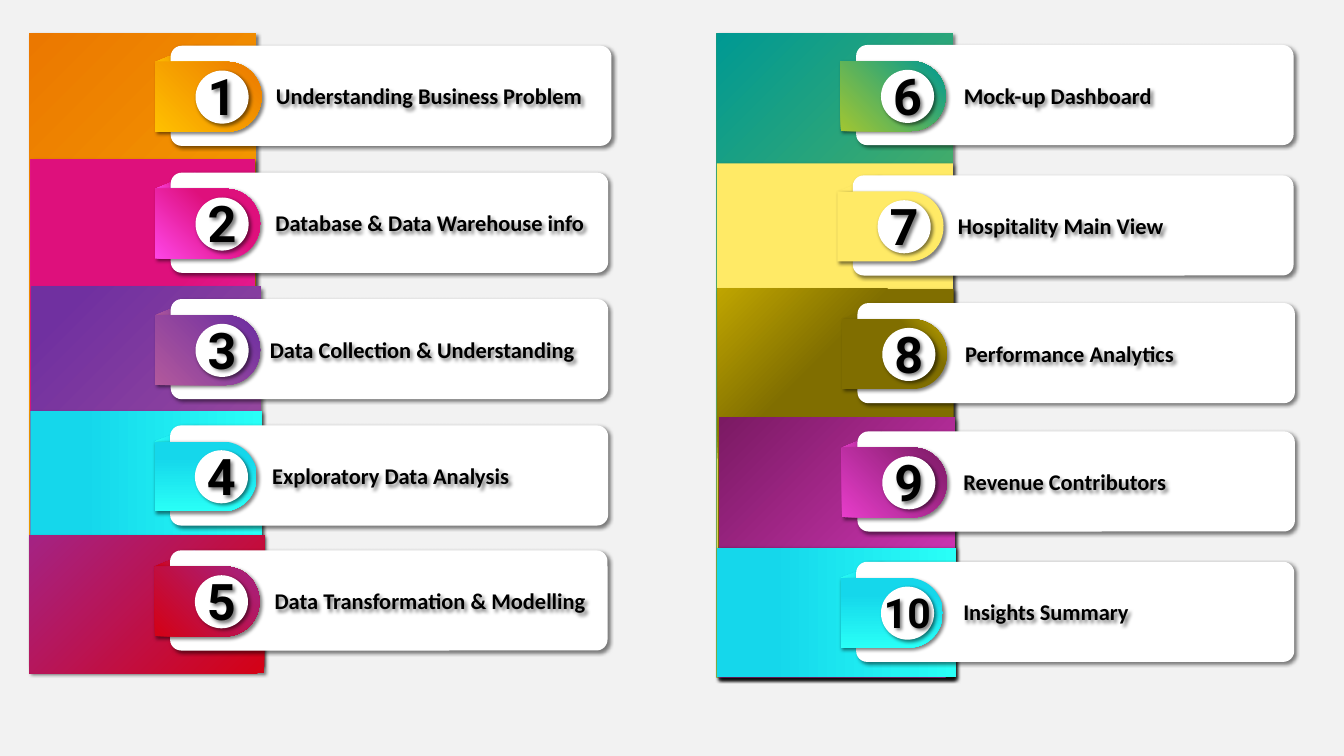
import pptx
import pptx.dml.color
import pptx.enum.shapes
import pptx.enum.text
import pptx.oxml
import pptx.oxml.ns
import pptx.util

Pt = pptx.util.Pt
SHAPE = pptx.enum.shapes.MSO_SHAPE

THEME = {
    "background": "F2F2F2", "card": "FFFFFF", "text": "000000",
    "number_font": "Roboto", "label_font": "Calibri",
    "label_size": 24, "number_size": 54, "wide_number_size": 44,
}

# Fills: colour stops (position in percent, colour) and clockwise angle
CYAN = ([(23, "15D7EB"), (100, "29FFF7")], 0)
YELLOW = ([(0, "FFEA66")], 0)


def diagonal(start, start_colour, end, end_colour):
    return [(start, start_colour), (end, end_colour)], 225


# Steps: label, fill, band (left, top, width, bottom), card (left, top, width),
# tab length, label centre
STEPS = [
    ("Understanding Business Problem", diagonal(0, "FFC000", 100, "EB7800"),
     (31.2, 36, 242.6, 712.8), (182.9, 49, 472.3), 113.8, 459.7),
    ("Database & Data Warehouse info", diagonal(0, "FE46E8", 63, "DE107C"),
     (33.1, 170.6, 239.8, 712.8), (182.9, 185, 468.7), 112.3, 460.4),
    ("Data Collection & Understanding", diagonal(0, "B2599C", 92, "7030A0"),
     (33.8, 307.4, 245.5, 713.5), (182.9, 320.4, 468.7), 112.3, 452.2),
    ("Exploratory Data Analysis", CYAN,
     (32.6, 440.6, 247.7, 712.8), (182.2, 455.8, 469.4), 109.4, 418.6),
    ("Data Transformation & Modelling", diagonal(0, "D40115", 100, "A42384"),
     (31.2, 573.8, 252, 721.4), (182.2, 589.7, 468.7), 112.3, 460.8),
    ("Mock-up Dashboard", diagonal(0, "A1C632", 100, "009993"),
     (768.2, 36, 252.7, 725.8), (917.3, 48.2, 468.7), 112.3, 1133.3),
    ("Hospitality Main View", YELLOW,
     (768.2, 175, 252.7, 725.8), (913.7, 187.9, 472.3), 113.8, 1136.5),
    ("Performance Analytics", diagonal(72, "806E00", 100, "BFA500"),
     (769, 309.6, 252.7, 725.8), (918.7, 324.7, 468.7), 112.3, 1145.9),
    ("Revenue Contributors", diagonal(0, "E73DCB", 100, "7B1A63"),
     (770.4, 447.8, 252.7, 725.8), (918.7, 462.2, 468.7), 112.3, 1140.8),
    ("Insights Summary", CYAN,
     (768.2, 586.8, 255.6, 725.8), (917.3, 601.9, 469.4), 109.4, 1120.7),
]
STEPS_WITHOUT_FOLD = {6}

# Sizes shared by every step
CARD_HEIGHT = 107.3
FOLD_WIDTH, FOLD_HEIGHT, FOLD_OVERHANG = 43.2, 17.3, 16.6
TAB_HEIGHT = 74.9
CIRCLE_SIZE, CIRCLE_INSET = 56.9, 26.6
TEXT_HEIGHT, LABEL_WIDTH = 77.8, 360
NUMBER_RISE = 1.5


def rgb(value):
    return pptx.dml.color.RGBColor.from_string(value)


def add_shadow(shape):
    shape.shadow.inherit = False
    effects = shape._element.spPr.find(pptx.oxml.ns.qn("a:effectLst"))
    effects.append(pptx.oxml.parse_xml(
        f'<a:outerShdw {pptx.oxml.ns.nsdecls("a")} blurRad="{Pt(4)}" dist="{Pt(3)}" '
        'dir="2700000" algn="tl" rotWithShape="0"><a:srgbClr val="000000">'
        '<a:alpha val="50000"/></a:srgbClr></a:outerShdw>'))


def apply_fill(shape, fill):
    stops, angle = fill
    if len(stops) == 1:
        shape.fill.solid()
        shape.fill.fore_color.rgb = rgb(stops[0][1])
        return
    shape.fill.gradient()
    shape.fill.gradient_angle = (360 - angle) % 360
    for stop, (position, colour) in zip(shape.fill.gradient_stops, stops):
        stop.position = position / 100
        stop.color.rgb = rgb(colour)


def add_part(group, kind, box, fill, adjustments=()):
    shape = group.shapes.add_shape(kind, *map(Pt, box))
    for index, value in enumerate(adjustments):
        shape.adjustments[index] = value
    apply_fill(shape, fill)
    shape.line.fill.background()
    add_shadow(shape)
    return shape


def add_text(group, box, text, font, size):
    shape = group.shapes.add_textbox(*map(Pt, box))
    add_shadow(shape)
    frame = shape.text_frame
    frame.word_wrap = False
    frame.vertical_anchor = pptx.enum.text.MSO_ANCHOR.MIDDLE
    frame.margin_left = frame.margin_right = Pt(10.8)
    frame.margin_top = frame.margin_bottom = Pt(5.8)
    paragraph = frame.paragraphs[0]
    paragraph.alignment = pptx.enum.text.PP_ALIGN.CENTER
    run = paragraph.add_run()
    run.text = text
    run.font.name = font
    run.font.size = Pt(size)
    run.font.bold = True
    run.font.color.rgb = rgb(THEME["text"])


def add_step(slide, number, label, fill, band, card, tab_length, label_centre):
    group = slide.shapes.add_group_shape()
    white = ([(0, THEME["card"])], 0)
    left, top, width = card
    fold_left = left - FOLD_OVERHANG

    # Coloured band, running down behind the later steps
    band_left, band_top, band_width, band_bottom = band
    add_part(group, SHAPE.RECTANGLE,
             (band_left, band_top, band_width, band_bottom - band_top), fill)

    # Folded corner and white card
    if number not in STEPS_WITHOUT_FOLD:
        fold = add_part(group, SHAPE.RIGHT_TRIANGLE,
                        (fold_left, top, FOLD_WIDTH, FOLD_HEIGHT), fill)
        fold._element.spPr.xfrm.set("flipH", "1")
    add_part(group, SHAPE.ROUNDED_RECTANGLE, (left, top, width, CARD_HEIGHT), white, [0.11])

    # Tab, turned a quarter about its centre
    turn = (tab_length - TAB_HEIGHT) / 2
    tab = add_part(group, SHAPE.ROUND_2_SAME_RECTANGLE,
                   (fold_left + turn, top + FOLD_HEIGHT - turn, TAB_HEIGHT, tab_length),
                   fill, [0.49, 0])
    tab.rotation = 90

    # Number in its circle
    circle_left, circle_top = left + CIRCLE_INSET, top + CIRCLE_INSET
    add_part(group, SHAPE.OVAL, (circle_left, circle_top, CIRCLE_SIZE, CIRCLE_SIZE), white)
    margin = (TEXT_HEIGHT - CIRCLE_SIZE) / 2
    size = THEME["number_size"] if number < 10 else THEME["wide_number_size"]
    add_text(group, (circle_left - margin, circle_top - margin - NUMBER_RISE,
                     TEXT_HEIGHT, TEXT_HEIGHT), str(number), THEME["number_font"], size)

    # Label, level with the middle of the card
    add_text(group, (label_centre - LABEL_WIDTH / 2, top + (CARD_HEIGHT - TEXT_HEIGHT) / 2,
                     LABEL_WIDTH, TEXT_HEIGHT),
             label, THEME["label_font"], THEME["label_size"])


def main():
    presentation = pptx.Presentation()
    presentation.slide_width, presentation.slide_height = Pt(1440), Pt(810)
    slide = presentation.slides.add_slide(presentation.slide_layouts[6])
    slide.background.fill.solid()
    slide.background.fill.fore_color.rgb = rgb(THEME["background"])
    for number, step in enumerate(STEPS, start=1):
        add_step(slide, number, *step)
    presentation.save("out.pptx")


if __name__ == "__main__":
    main()
